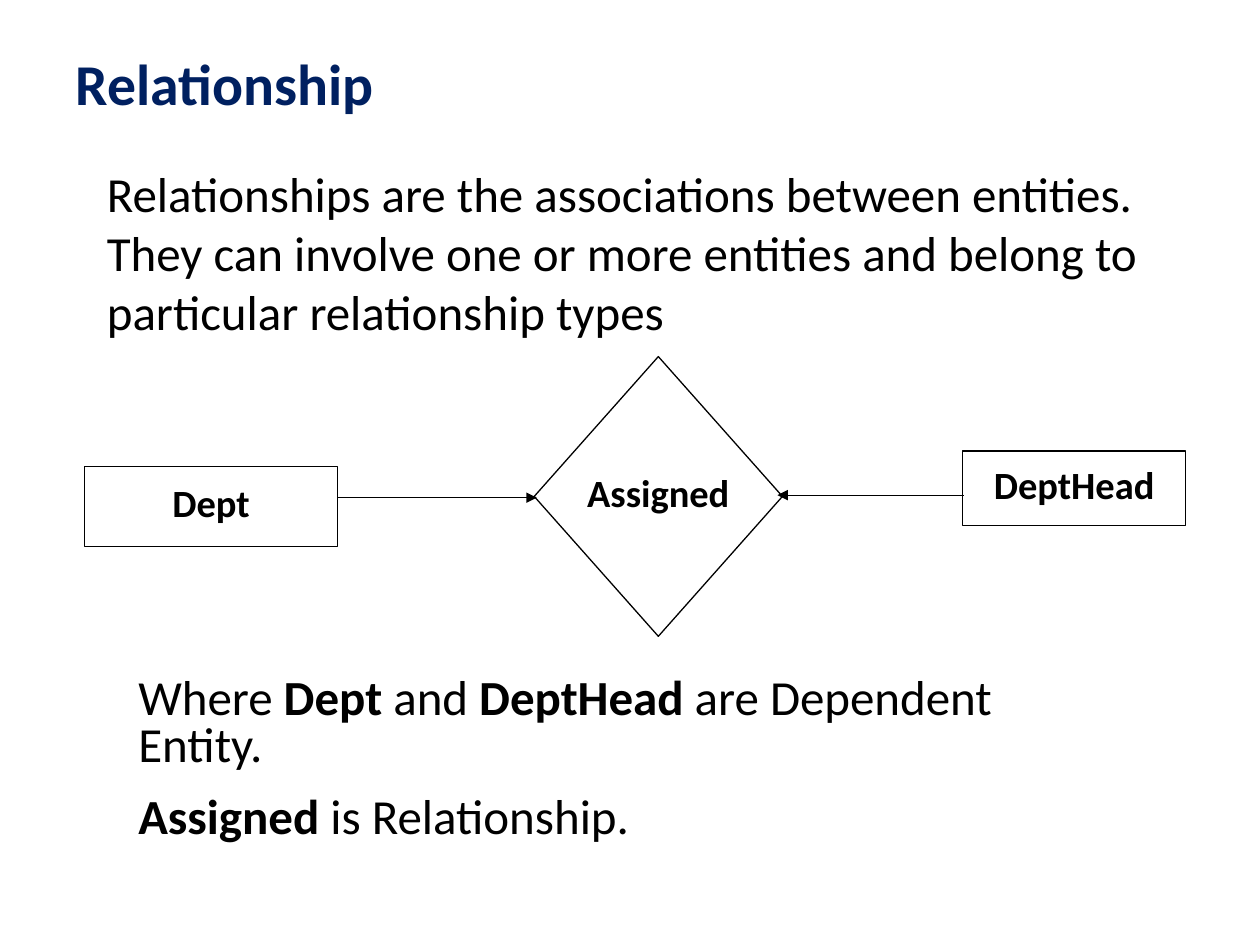
import pptx
import pptx.util
import pptx.dml.color
import pptx.enum.shapes
import pptx.enum.text
import pptx.oxml
import pptx.oxml.ns

Pt = pptx.util.Pt
SHAPE = pptx.enum.shapes.MSO_SHAPE
ALIGN = pptx.enum.text.PP_ALIGN
ANCHOR = pptx.enum.text.MSO_ANCHOR

# Content: paragraphs are lists of (text, bold) runs; boxes are left, top, width, height
HEADING = [[("Relationship", True)]]
DEFINITION = [[("Relationships are the associations between entities. They can involve "
                "one or more entities and belong to particular relationship types", False)]]
EXPLANATION = [
    [("Where ", False), ("Dept", True), (" and ", False), ("DeptHead", True),
     (" are Dependent Entity.", False)],
    [("Assigned", True), (" is Relationship.", False)],
]
HEADING_BOX = (36, 21.6, 588.24, 56.16)
NODES = [
    ("Dept", SHAPE.RECTANGLE, (48.24, 266.4, 144.72, 46.08)),
    ("DeptHead", SHAPE.RECTANGLE, (550.08, 257.76, 127.44, 42.48)),
    ("Assigned", SHAPE.DIAMOND, (305.28, 203.76, 141.84, 159.84)),
]
# Each arrow runs from an entity to the relationship: start x, end x, y
ARROWS = [(192.96, 306.72, 284.4), (550.8, 444.24, 282.96)]

THEME = {
    "font": "Calibri", "navy": "002060", "black": "000000", "white": "FFFFFF",
    "heading": 33, "body": 28, "node": 22, "line": 0.75,
}


def color(name):
    return pptx.dml.color.RGBColor.from_string(THEME[name])


def place(box):
    return [Pt(length) for length in box]


def write(frame, paragraphs, size, ink="black", **formats):
    for index, runs in enumerate(paragraphs):
        paragraph = frame.paragraphs[0] if index == 0 else frame.add_paragraph()
        for name, value in formats.items():
            setattr(paragraph, name, value)
        for text, bold in runs:
            run = paragraph.add_run()
            run.text = text
            for name, value in {"name": THEME["font"], "size": Pt(THEME[size]),
                                "bold": bold}.items():
                setattr(run.font, name, value)
            run.font.color.rgb = color(ink)


def outline(line):
    line.color.rgb = color("black")
    line.width = Pt(THEME["line"])


deck = pptx.Presentation()
deck.slide_width, deck.slide_height = Pt(720), Pt(540)
slide = deck.slides.add_slide(deck.slide_layouts[5])
shapes = slide.shapes

# Heading
heading = shapes.title
for side, length in zip(("left", "top", "width", "height"), place(HEADING_BOX)):
    setattr(heading, side, length)
heading.text_frame.vertical_anchor = ANCHOR.MIDDLE
write(heading.text_frame, HEADING, "heading", "navy", alignment=ALIGN.LEFT, line_spacing=0.9)

# Definition and explanation
for paragraphs, box, formats in [
    (DEFINITION, (54, 90, 635.76, 108.72), {}),
    (EXPLANATION, (72, 383.76, 576, 105.84),
     {"line_spacing": 0.8, "space_before": Pt(THEME["body"] / 2)}),
]:
    frame = shapes.add_textbox(*place(box)).text_frame
    frame.word_wrap = True
    write(frame, paragraphs, "body", **formats)

# Entities and relationship
for label, kind, box in NODES:
    node = shapes.add_shape(kind, *place(box))
    node.shadow.inherit = False
    node.fill.solid()
    node.fill.fore_color.rgb = color("white")
    outline(node.line)
    node.text_frame.word_wrap = False
    node.text_frame.vertical_anchor = ANCHOR.MIDDLE
    write(node.text_frame, [[(label, True)]], "node", alignment=ALIGN.CENTER, line_spacing=0.8)

# Arrows
for start, end, y in ARROWS:
    arrow = shapes.add_connector(pptx.enum.shapes.MSO_CONNECTOR.STRAIGHT,
                                 *place((start, y, end, y)))
    outline(arrow.line)
    tip = pptx.oxml.parse_xml(
        f'<a:tailEnd {pptx.oxml.ns.nsdecls("a")} type="triangle"/>')
    arrow.line._get_or_add_ln().append(tip)
    arrow._element.spPr.append(
        pptx.oxml.parse_xml(f'<a:effectLst {pptx.oxml.ns.nsdecls("a")}/>'))

deck.save("out.pptx")
